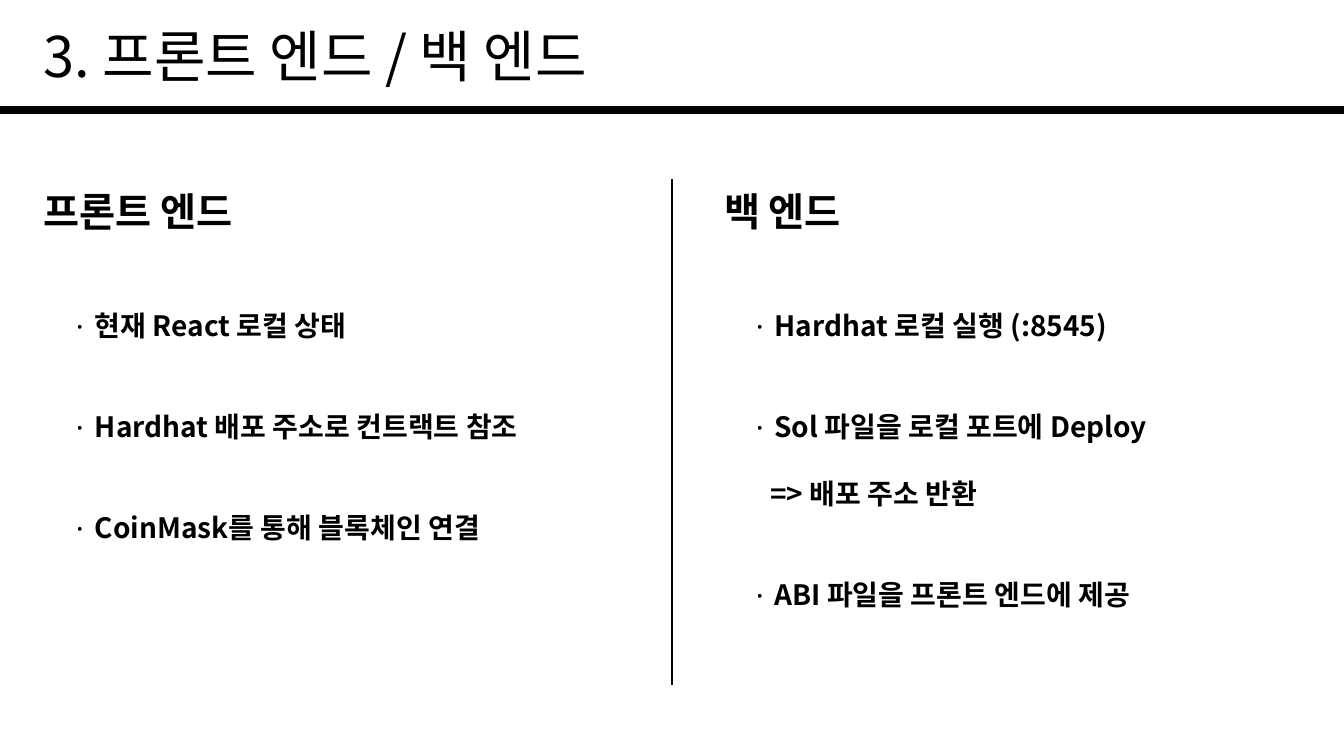
from lxml import etree
from pptx import Presentation
from pptx.dml.color import RGBColor
from pptx.enum import shapes, text
from pptx.oxml import ns
from pptx.util import Pt

BLACK = RGBColor(0, 0, 0)
WHITE = RGBColor(255, 255, 255)
FONT = "Noto Sans CJK KR"
WIDTH, HEIGHT = 960, 540
COMPARISON_LAYOUT = 4
LIST_SIZE = 20
LINE_RATIO = 1.2
BULLET_INDENT = 16
CONTINUED_INDENT = 13

COLUMNS = [
    dict(head="프론트 엔드", left=24, list_left=44.6, items=[
        "현재 React 로컬 상태",
        "Hardhat 배포 주소로 컨트랙트 참조",
        "CoinMask를 통해 블록체인 연결",
    ]),
    dict(head="백 엔드", left=510, list_left=530, items=[
        "Hardhat 로컬 실행 (:8545)",
        "Sol 파일을 로컬 포트에 Deploy",
        "=> 배포 주소 반환",
        "ABI 파일을 프론트 엔드에 제공",
    ]),
]


class Deck:
    def __init__(self, prs):
        self.s = prs.slides.add_slide(prs.slide_layouts[COMPARISON_LAYOUT])
        self.s.background.fill.solid()
        self.s.background.fill.fore_color.rgb = WHITE

    def frame(self, idx, left, top, width, height):
        """Move a placeholder and return its text frame, set to start at the top."""
        sp = self.s.placeholders[idx]
        for name, value in dict(left=left, top=top, width=width, height=height).items():
            setattr(sp, name, Pt(value))
        tf = sp.text_frame
        settings = dict(word_wrap=True, auto_size=text.MSO_AUTO_SIZE.NONE,
                        vertical_anchor=text.MSO_ANCHOR.TOP)
        for name, value in settings.items():
            setattr(tf, name, value)
        return tf

    def fill_paragraph(self, p, words, size, bold, before=0):
        settings = dict(alignment=text.PP_ALIGN.LEFT, line_spacing=Pt(size * LINE_RATIO),
                        space_before=Pt(before), space_after=Pt(0))
        for name, value in settings.items():
            setattr(p, name, value)
        r = p.add_run()
        r.text = words
        for name, value in dict(name=FONT, size=Pt(size), bold=bold).items():
            setattr(r.font, name, value)
        r.font.color.rgb = BLACK
        east_asian = etree.SubElement(r.font._element, ns.qn("a:ea"))
        east_asian.set("typeface", FONT)

    def heading(self, idx, words, left, top, width, size, bold):
        tf = self.frame(idx, left, top, width, size * LINE_RATIO + 8)
        self.fill_paragraph(tf.paragraphs[0], words, size, bold)

    def bullets(self, idx, items, left, top, width, height):
        """Fill a list; an item that starts with => continues the one above it."""
        tf = self.frame(idx, left, top, width, height)
        line = LIST_SIZE * LINE_RATIO
        for i, words in enumerate(items):
            p = tf.paragraphs[0] if i == 0 else tf.add_paragraph()
            continued = words.startswith("=>")
            pPr = p._p.get_or_add_pPr()
            pPr.set("marL", str(Pt(CONTINUED_INDENT if continued else BULLET_INDENT)))
            pPr.set("indent", str(0 if continued else -Pt(BULLET_INDENT)))
            if continued:
                etree.SubElement(pPr, ns.qn("a:buNone"))
            else:
                etree.SubElement(pPr, ns.qn("a:buFont")).set("typeface", FONT)
                etree.SubElement(pPr, ns.qn("a:buChar")).set("char", "·")
            before = 0 if i == 0 else line if continued else 2 * line
            self.fill_paragraph(p, words, LIST_SIZE, True, before)

    def rule(self, x1, y1, x2, y2, weight):
        points = [Pt(v) for v in (x1, y1, x2, y2)]
        line = self.s.shapes.add_connector(shapes.MSO_CONNECTOR.STRAIGHT, *points)
        line.line.color.rgb = BLACK
        line.line.width = Pt(weight)
        etree.SubElement(line._element.spPr, ns.qn("a:effectLst"))


def main():
    prs = Presentation()
    prs.slide_width, prs.slide_height = Pt(WIDTH), Pt(HEIGHT)
    deck = Deck(prs)
    deck.rule(0, 78.5, WIDTH, 78.5, 6)
    deck.heading(0, "3. 프론트 엔드 / 백 엔드", 24, 11.5, 477, 40, False)
    deck.rule(WIDTH / 2, 128, WIDTH / 2, 489.5, 1.5)
    for i, column in enumerate(COLUMNS):
        deck.heading(1 + 2 * i, column["head"], column["left"], 130, 366, 28, True)
        deck.bullets(2 + 2 * i, column["items"], column["list_left"], 217, 369, 250)
    prs.save("out.pptx")


if __name__ == "__main__":
    main()
